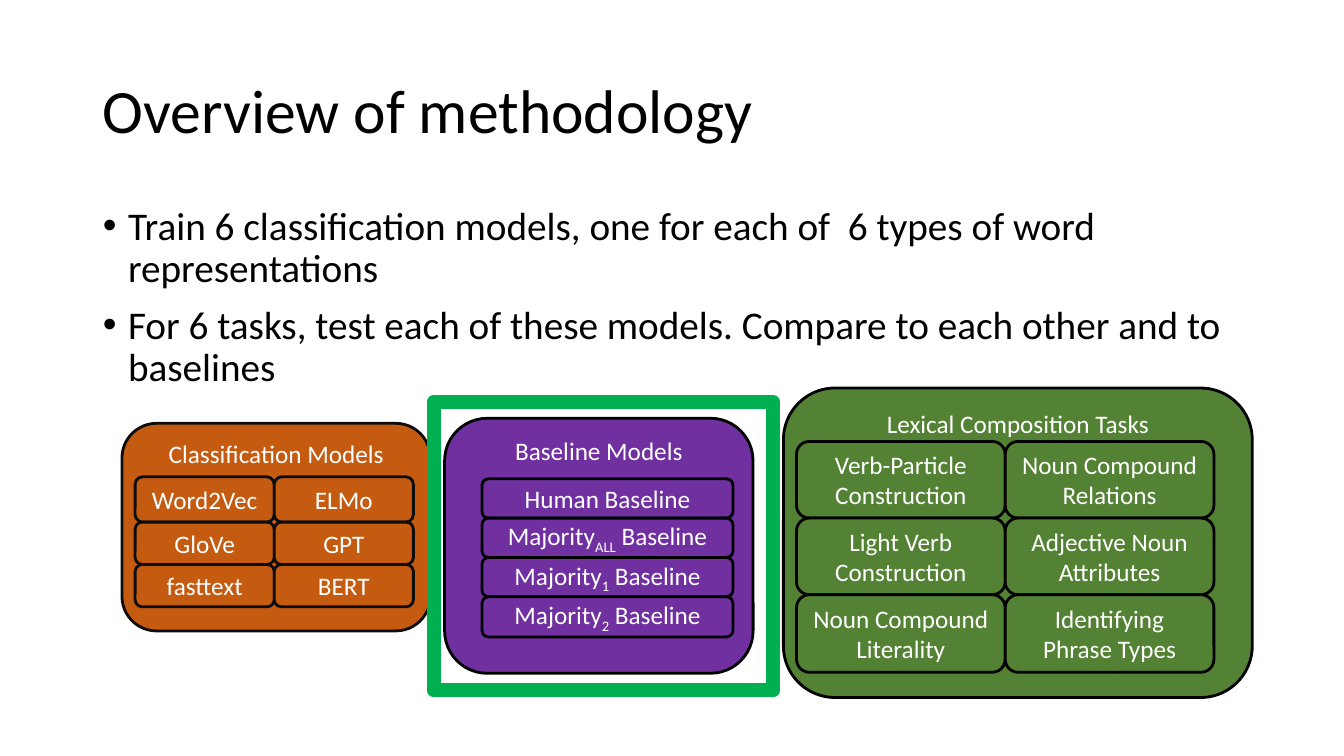
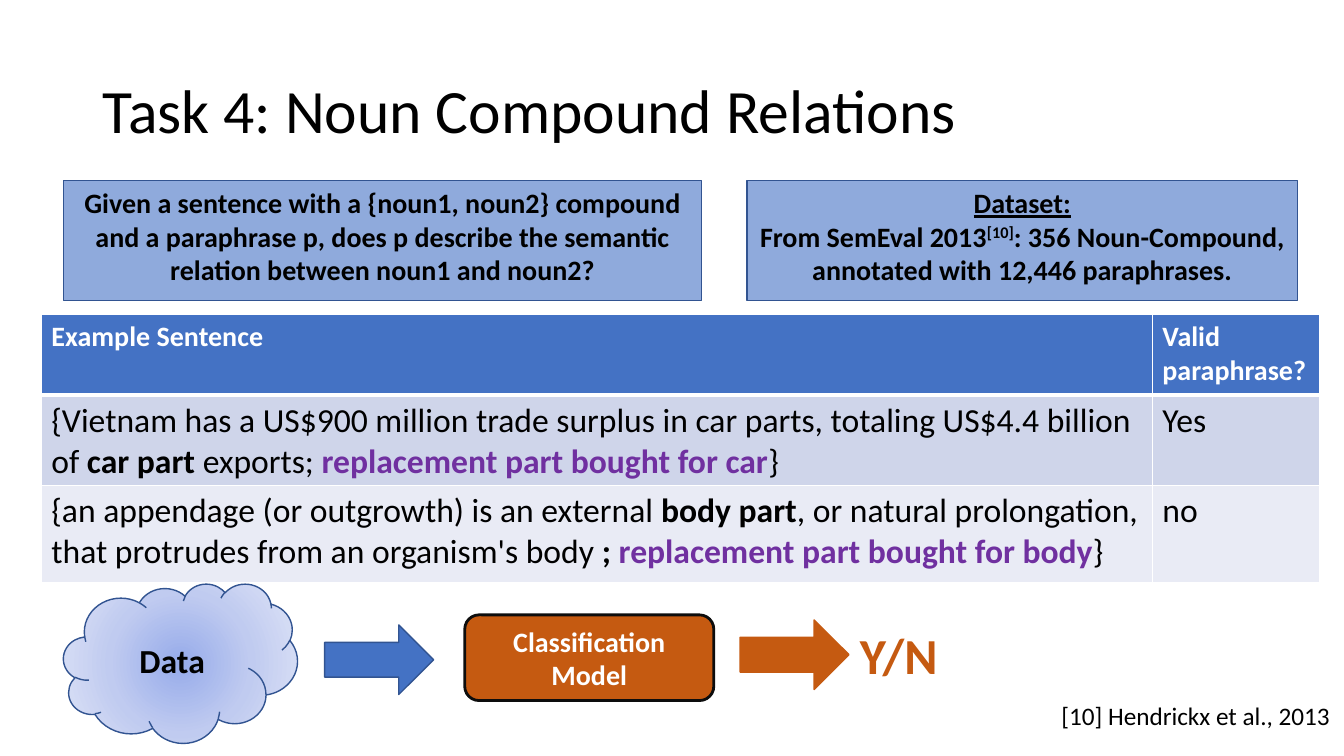
"""Build two slides: a methodology overview and the noun compound relations task."""
from itertools import accumulate

from pptx import Presentation
from pptx.dml.color import RGBColor
from pptx.enum.shapes import MSO_SHAPE
from pptx.enum.text import MSO_ANCHOR, MSO_AUTO_SIZE, PP_ALIGN
from pptx.oxml import parse_xml
from pptx.oxml.ns import nsdecls, qn
from pptx.util import Pt

PX = 9144


class Theme:
    font = "Calibri"
    black, white, ink = "000000", "FFFFFF", "0D0D0D"
    orange, purple, green, frame = "C55A11", "7030A0", "548235", "00B050"
    blue, blue_line, panel = "4472C4", "325491", "8FAADC"
    row_fills = (blue, "CFD5EA", "E9EBF5")
    cloud_stops = ((0, "96ABEA"), (50, "C0CBF0"), (100, "E0E5F7"))
    title, answer, body, example, strong, label = 44, 36, 28, 24, 20, 18


def write(frame, paragraphs, size=Theme.label, color=Theme.black, bold=False,
          align=PP_ALIGN.LEFT, anchor=MSO_ANCHOR.TOP, spacing=None, before=None):
    """Fill a text frame; each paragraph is a string or a list of strings and (string, format) pairs."""
    frame.word_wrap = True
    frame.vertical_anchor = anchor
    for index, spans in enumerate(paragraphs):
        para = frame.add_paragraph() if index else frame.paragraphs[0]
        para.alignment = align
        if spacing:
            para.line_spacing = spacing
        if before:
            para.space_before = Pt(before)
        for item in [spans] if isinstance(spans, str) else spans:
            text, extra = (item, {}) if isinstance(item, str) else item
            span = para.add_run()
            span.text = text
            span.font.name = Theme.font
            span.font.size = Pt(size)
            span.font.bold = extra.get("bold", bold)
            span.font.underline = extra.get("underline")
            span.font.color.rgb = RGBColor.from_string(extra.get("color", color))
            if "baseline" in extra:
                span.font._element.set("baseline", str(extra["baseline"] * 1000))


def add_box(page, kind, place, fill, line, width=1, paragraphs=(), **text_format):
    """Add a preset shape with its fill, outline and centred text."""
    box = page.shapes.add_shape(kind, *(value * PX for value in place))
    box.shadow.inherit = False
    if fill:
        box.fill.solid()
        box.fill.fore_color.rgb = RGBColor.from_string(fill)
    else:
        box.fill.background()
    box.line.color.rgb = RGBColor.from_string(line)
    box.line.width = Pt(width)
    write(box.text_frame, paragraphs, align=PP_ALIGN.CENTER, **text_format)
    return box


deck = Presentation()
deck.slide_width, deck.slide_height = 1333 * PX, 750 * PX
overview = deck.slides.add_slide(deck.slide_layouts[1])
task = deck.slides.add_slide(deck.slide_layouts[5])

for page, heading in ((overview, "Overview of methodology"),
                      (task, "Task 4: Noun Compound Relations")):
    title = page.shapes.title
    title.left, title.top, title.width, title.height = (value * PX for value in (92, 40, 1150, 145))
    title.text_frame.auto_size = MSO_AUTO_SIZE.NONE
    write(title.text_frame, [heading], size=Theme.title, anchor=MSO_ANCHOR.MIDDLE, spacing=0.9)

body = overview.placeholders[1]
body.left, body.top, body.width, body.height = (value * PX for value in (92, 200, 1150, 196))
body.text_frame.auto_size = MSO_AUTO_SIZE.NONE
write(body.text_frame, [
    "Train 6 classification models, one for each of  6 types of word representations",
    "For 6 tasks, test each of these models. Compare to each other and to baselines",
], size=Theme.body, spacing=0.9, before=10)
for para in body.text_frame.paragraphs:
    properties = para._p.get_or_add_pPr()
    properties.set("marL", str(25 * PX))
    properties.set("indent", str(-25 * PX))

majorities = [["Majority", (mark, {"baseline": -25}), " Baseline"] for mark in ("ALL", "1", "2")]
groups = [
    ("Classification Models", Theme.orange, Theme.ink, (121, 420, 306, 206),
     (134, 473), 138, (45, 42, 42),
     [["Word2Vec", "GloVe", "fasttext"], ["ELMo", "GPT", "BERT"]]),
    ("Lexical Composition Tasks", Theme.green, Theme.black, (777, 385, 465, 307),
     (790, 438), 207, (76, 76, 77),
     [["Verb-Particle Construction", "Light Verb Construction", "Noun Compound Literality"],
      ["Noun Compound Relations", "Adjective Noun Attributes", "Identifying Phrase Types"]]),
    ("Baseline Models", Theme.purple, Theme.black, (441, 415, 306, 253),
     (478, 475), 249, (39, 39, 39, 40),
     [["Human Baseline", *majorities]]),
]
for name, fill, line, place, (left, top), cell_width, heights, columns in groups:
    add_box(overview, MSO_SHAPE.ROUNDED_RECTANGLE, place, fill, line, 2, [name], color=Theme.white)
    tops = list(accumulate(heights, initial=top))
    for column, labels in enumerate(columns):
        for label, cell_top, height in zip(labels, tops, heights):
            add_box(overview, MSO_SHAPE.ROUNDED_RECTANGLE,
                    (left + column * cell_width, cell_top, cell_width, height),
                    fill, line, 2, [label], color=Theme.white, anchor=MSO_ANCHOR.MIDDLE)
add_box(overview, MSO_SHAPE.RECTANGLE, (430, 399, 337, 286), None, Theme.frame, 10)

cloud = add_box(task, MSO_SHAPE.CLOUD, (63, 579, 232, 158), Theme.panel, Theme.blue_line, 1,
                ["Data"], size=Theme.example, bold=True, anchor=MSO_ANCHOR.MIDDLE)
stops = "".join(f'<a:gs pos="{position * 1000}"><a:srgbClr val="{color}"/></a:gs>'
                for position, color in Theme.cloud_stops)
gradient = parse_xml(
    f'<a:gradFill {nsdecls("a")} rotWithShape="1"><a:gsLst>{stops}</a:gsLst><a:path path="circle">'
    '<a:fillToRect l="50000" t="50000" r="50000" b="50000"/></a:path></a:gradFill>')
cloud_properties = cloud._element.spPr
cloud_properties.replace(cloud_properties.find(qn("a:solidFill")), gradient)

add_box(task, MSO_SHAPE.ROUNDED_RECTANGLE, (461, 610, 247, 85), Theme.orange, Theme.ink, 2,
        ["Classification Model"], size=Theme.strong, color=Theme.white, bold=True)
add_box(task, MSO_SHAPE.RIGHT_ARROW, (322, 620, 108, 69), Theme.blue, Theme.blue_line)
add_box(task, MSO_SHAPE.RIGHT_ARROW, (734, 615, 108, 69), Theme.orange, Theme.orange)

for place, text, text_format in (
        ((843, 614, 247, 71), "Y/N", {"size": Theme.answer, "color": Theme.orange, "bold": True}),
        ((1043, 690, 290, 40), "[10] Hendrickx et al., 2013", {})):
    note = task.shapes.add_textbox(*(value * PX for value in place))
    write(note.text_frame, [text], **text_format)

strong = {"bold": True}
paraphrase = {"bold": True, "color": Theme.purple}
examples = [
    ["Example Sentence", "Valid paraphrase?"],
    [["{Vietnam has a US$900 million trade surplus in car parts, totaling US$4.4 billion of ",
      ("car part ", strong), "exports; ", ("replacement part bought for car", paraphrase), "}"],
     "Yes"],
    [["{an appendage (or outgrowth) is an external ", ("body part", strong),
      ", or natural prolongation, that protrudes from an organism's body ", ("; ", strong),
      ("replacement part bought for body", paraphrase), "}"],
     "no"],
]
table = task.shapes.add_table(3, 2, *(value * PX for value in (41, 312, 1268, 264))).table
for column, width in zip(table.columns, (1102, 166)):
    column.width = width * PX
for row, height, fill, contents in zip(table.rows, (80, 88, 96), Theme.row_fills, examples):
    row.height = height * PX
    header = contents is examples[0]
    for cell, content in zip(row.cells, contents):
        cell.fill.solid()
        cell.fill.fore_color.rgb = RGBColor.from_string(fill)
        write(cell.text_frame, [content], bold=header,
              size=Theme.strong if header else Theme.example,
              color=Theme.white if header else Theme.black)
        top_width = 3 if contents is examples[1] else 1
        bottom_width = 3 if header else 1
        edges = (("L", 1), ("R", 1), ("T", top_width), ("B", bottom_width))
        for position, (side, points) in enumerate(edges):
            cell._tc.get_or_add_tcPr().insert(position, parse_xml(
                f'<a:ln{side} {nsdecls("a")} w="{Pt(points)}"><a:solidFill>'
                f'<a:srgbClr val="{Theme.white}"/></a:solidFill></a:ln{side}>'))

panels = [
    ((63, 179, 633, 119),
     ["Given a sentence with a {noun1, noun2} compound and a paraphrase p, "
      "does p describe the semantic relation between noun1 and noun2?"]),
    ((741, 179, 546, 119),
     [[("Dataset:", {"underline": True})],
      ["From SemEval 2013", ("[10]", {"baseline": 30}),
       ": 356 Noun-Compound, annotated with 12,446 paraphrases."]]),
]
for place, paragraphs in panels:
    add_box(task, MSO_SHAPE.RECTANGLE, place, Theme.panel, Theme.blue_line, 1, paragraphs,
            size=Theme.strong, bold=True)

deck.save("out.pptx")
